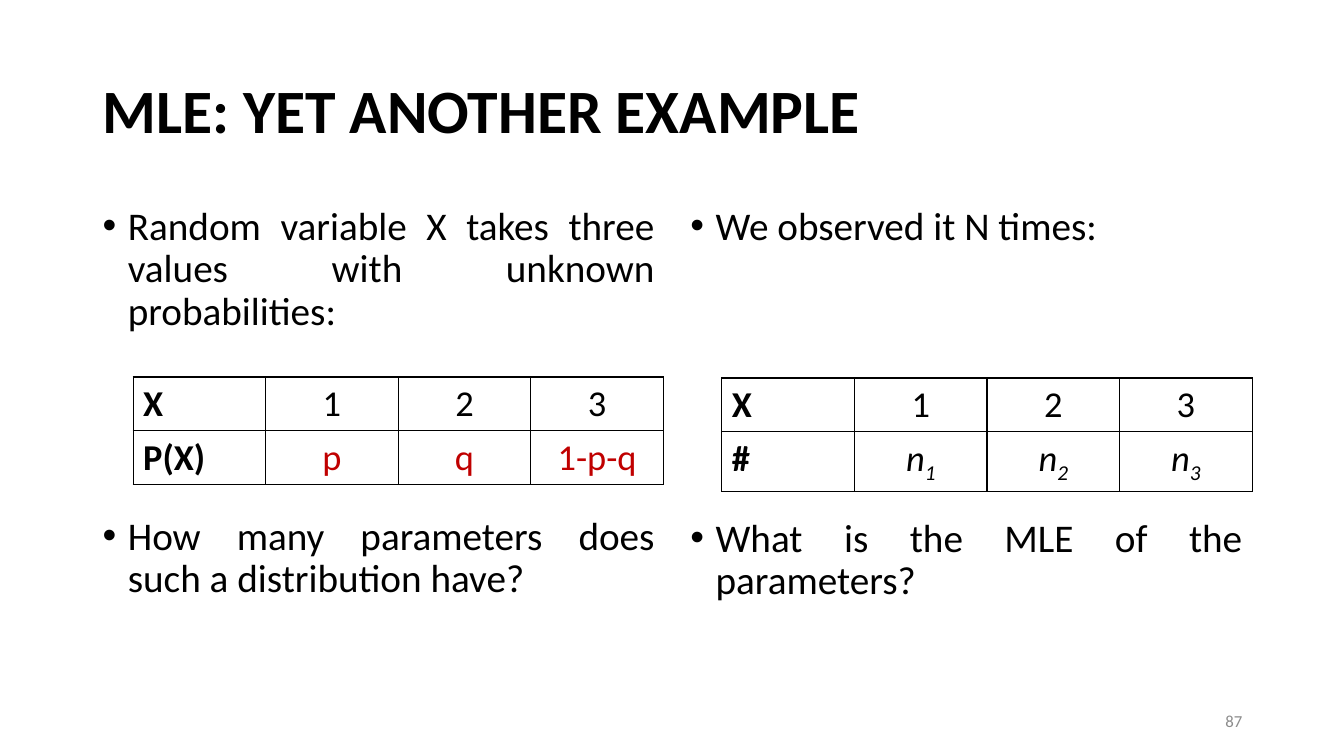
from lxml import etree
from pptx import Presentation
from pptx.dml.color import RGBColor
from pptx.enum import text as t
from pptx.oxml import ns
from pptx.util import Inches, Pt

FONT, BLACK, RED, GREY = "Calibri", "000000", "C00000", "8C8C8C"
LEFT, MID, RIGHT = t.PP_ALIGN.LEFT, t.PP_ALIGN.CENTER, t.PP_ALIGN.RIGHT
JUST = t.PP_ALIGN.JUSTIFY

# Content: an underscore marks a subscript
TITLE = "MLE: YET ANOTHER EXAMPLE"
NUMBER = "87"
# left edge, bullets as (text, alignment, points before)
LISTS = [
    (0.92, [("Random variable X takes three values with unknown probabilities:", JUST, 0),
            ("How many parameters does such a distribution have?", JUST, 130.5)]),
    (6.75, [("We observed it N times:", LEFT, 0),
            ("What is the MLE of the parameters?", JUST, 192.5)]),
]
# left, top, rows, colour and italics of the second row's values
TABLES = [
    (1.32, 3.74, [["X", "1", "2", "3"], ["P(X)", "p", "q", "1-p-q"]], RED, False),
    (7.16, 3.75, [["X", "1", "2", "3"], ["#", "n_1", "n_2", "n_3"]], BLACK, True),
]
CELL_W, CELL_H = 1.315, 0.53

deck = Presentation()
deck.slide_width, deck.slide_height = Inches(13.33), Inches(7.5)
slide = deck.slides.add_slide(deck.slide_layouts[6])


def paint(run, size, color=BLACK, bold=False, italic=False):
    font = run.font
    font.name, font.size, font.bold, font.italic = FONT, Pt(size), bold, italic
    font.color.rgb = RGBColor.from_string(color)


def add_box(x, y, w, h, anchor=t.MSO_ANCHOR.MIDDLE):
    frame = slide.shapes.add_textbox(*map(Inches, (x, y, w, h))).text_frame
    frame.word_wrap, frame.vertical_anchor = True, anchor
    return frame


def add_line(frame, words, size, color=BLACK, bold=False, align=LEFT):
    para = frame.paragraphs[0]
    if para.runs:
        para = frame.add_paragraph()
    para.text, para.alignment = words, align
    paint(para.runs[0], size, color, bold)
    return para


def add_bullet(para):
    props = para._p.get_or_add_pPr()
    props.set("marL", str(Inches(0.25)))
    props.set("indent", str(-Inches(0.25)))
    etree.SubElement(props, ns.qn("a:buFont"), typeface="Arial")
    etree.SubElement(props, ns.qn("a:buChar"), char="•")


def add_edges(cell):
    props = cell._tc.get_or_add_tcPr()
    for i, side in enumerate("LRTB"):
        line = etree.Element(ns.qn("a:ln" + side), w=str(Pt(1)))
        fill = etree.SubElement(line, ns.qn("a:solidFill"))
        etree.SubElement(fill, ns.qn("a:srgbClr"), val=BLACK)
        props.insert(i, line)


def fill_cell(cell, words, color, head, italic):
    para = cell.text_frame.paragraphs[0]
    para.alignment = LEFT if head else MID
    for i, part in enumerate(words.split("_")):
        run = para.add_run()
        run.text = part
        paint(run, 26, color, head, italic)
        if i:
            run._r.get_or_add_rPr().set("baseline", "-25000")
    cell.fill.background()
    add_edges(cell)


# Title
add_line(add_box(0.92, 0.4, 11.5, 1.45), TITLE, 44, bold=True).line_spacing = 0.9

# Bullet columns
for x, items in LISTS:
    frame = add_box(x, 2, 5.67, 4.76, t.MSO_ANCHOR.TOP)
    for words, align, gap in items:
        para = add_line(frame, words, 28, align=align)
        para.line_spacing, para.space_before = 0.9, Pt(gap)
        add_bullet(para)

# Tables
for x, y, rows, color, italic in TABLES:
    size = CELL_W * len(rows[0]), CELL_H * len(rows)
    table = slide.shapes.add_table(len(rows), len(rows[0]),
                                   *map(Inches, (x, y, *size))).table
    table.first_row = table.horz_banding = False
    for r, row in enumerate(rows):
        for c, words in enumerate(row):
            value = r > 0 and c > 0
            fill_cell(table.cell(r, c), words, color if value else BLACK,
                      c == 0, italic and value)

# Slide number
add_line(add_box(9.42, 6.95, 3, 0.4), NUMBER, 12, GREY, align=RIGHT)

deck.save("out.pptx")
